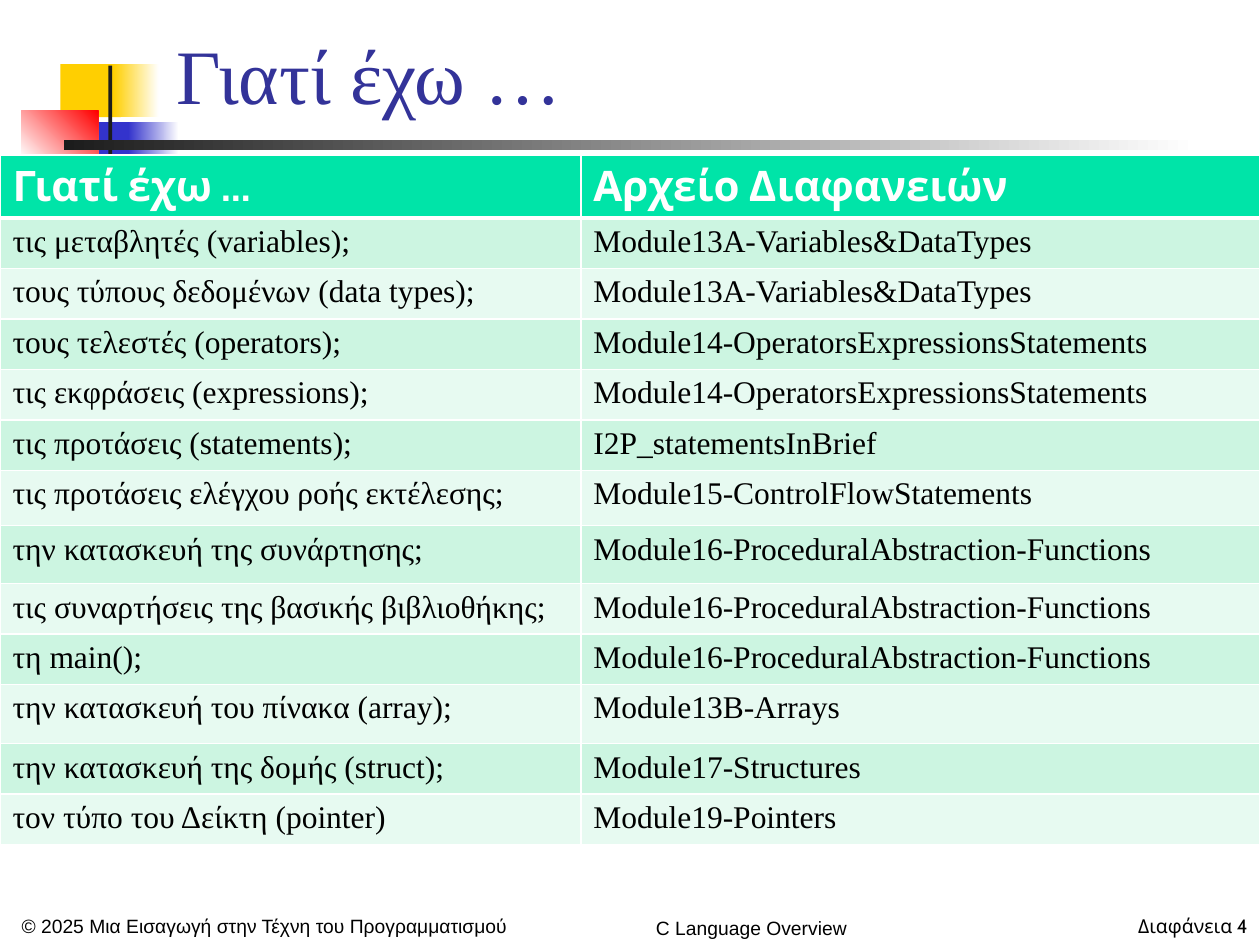
from dataclasses import dataclass

from lxml import etree
from pptx import Presentation
from pptx.dml.color import RGBColor
from pptx.enum.shapes import MSO_SHAPE
from pptx.enum.text import MSO_ANCHOR, MSO_AUTO_SIZE, PP_ALIGN
from pptx.oxml.ns import qn
from pptx.slide import Slide
from pptx.table import _Cell
from pptx.text.text import TextFrame
from pptx.util import Inches, Pt

RECTANGLE = MSO_SHAPE.RECTANGLE
TOP, MIDDLE, BOTTOM = MSO_ANCHOR.TOP, MSO_ANCHOR.MIDDLE, MSO_ANCHOR.BOTTOM
LEFT, CENTER, RIGHT = PP_ALIGN.LEFT, PP_ALIGN.CENTER, PP_ALIGN.RIGHT
NO_AUTOFIT = MSO_AUTO_SIZE.NONE


@dataclass(frozen=True)
class TextStyle:
    font: str
    size: int
    color: str
    bold: bool = False


@dataclass(frozen=True)
class Theme:
    white: str = "FFFFFF"
    yellow: str = "FFCF01"
    blue: str = "3333CC"
    red: str = "FF0000"
    dark: str = "1C1C1C"
    header_fill: str = "00E4A8"
    band_fills: tuple[str, str] = ("CCF5E1", "E7FAF1")
    title: TextStyle = TextStyle("Times New Roman", 44, "333399")
    header: TextStyle = TextStyle("Cabin", 24, "FFFFFF", True)
    body: TextStyle = TextStyle("Times New Roman", 18, "000000")
    footer: TextStyle = TextStyle("Arial", 11, "000000")
    number: TextStyle = TextStyle("Cabin", 11, "000000")
    border: int = 1
    header_border: int = 3


THEME = Theme()


@dataclass(frozen=True)
class Box:
    left: float
    top: float
    width: float
    height: float

    def lengths(self) -> tuple[Inches, ...]:
        return tuple(Inches(value) for value in (self.left, self.top, self.width, self.height))


@dataclass(frozen=True)
class Block:
    box: Box
    colors: tuple[str, ...]
    angle: int = 0


@dataclass(frozen=True)
class Footer:
    box: Box
    text: str
    style: TextStyle
    alignment: PP_ALIGN
    anchor: MSO_ANCHOR


@dataclass(frozen=True)
class TopicRow:
    topic: str
    file: str
    height: float


BLOCKS = (
    Block(Box(0.48, 0.51, 0.48, 0.42), (THEME.yellow,)),
    Block(Box(0.9, 0.51, 0.36, 0.42), (THEME.yellow, THEME.white)),
    Block(Box(0.62, 0.97, 0.46, 0.42), (THEME.blue,)),
    Block(Box(1.02, 0.97, 0.4, 0.42), (THEME.blue, THEME.white)),
    Block(Box(0.17, 0.88, 0.61, 0.37), (THEME.white, THEME.red), 45),
    Block(Box(0.86, 0.52, 0.03, 0.92), (THEME.dark,)),
    Block(Box(0.51, 1.11, 9, 0.08), (THEME.dark, THEME.white)),
)
FOOTERS = (
    Footer(Box(0, 7.22, 4.2, 0.26), "© 2025 Μια Εισαγωγή στην Τέχνη του Προγραμματισμού",
           THEME.footer, CENTER, MIDDLE),
    Footer(Box(7.94, 7.21, 2.06, 0.29), "Διαφάνεια 4", THEME.number, RIGHT, TOP),
    Footer(Box(3.43, 7.23, 5.07, 0.27), "C Language Overview", THEME.footer, CENTER, MIDDLE),
)
VARIABLES = "Module13A-Variables&DataTypes"
OPERATORS = "Module14-OperatorsExpressionsStatements"
FUNCTIONS = "Module16-ProceduralAbstraction-Functions"
TITLE = "Γιατί έχω …"
ROWS = (
    TopicRow(TITLE, "Αρχείο Διαφανειών", 0.41),
    TopicRow("τις μεταβλητές (variables);", VARIABLES, 0.39),
    TopicRow("τους τύπους δεδομένων (data types);", VARIABLES, 0.39),
    TopicRow("τους τελεστές (operators);", OPERATORS, 0.39),
    TopicRow("τις εκφράσεις (expressions);", OPERATORS, 0.39),
    TopicRow("τις προτάσεις (statements);", "I2P_statementsInBrief", 0.39),
    TopicRow("τις προτάσεις ελέγχου ροής εκτέλεσης;", "Module15-ControlFlowStatements", 0.44),
    TopicRow("την κατασκευή της συνάρτησης;", FUNCTIONS, 0.46),
    TopicRow("τις συναρτήσεις της βασικής βιβλιοθήκης;", FUNCTIONS, 0.39),
    TopicRow("τη main();", FUNCTIONS, 0.17),
    TopicRow("την κατασκευή του πίνακα (array);", "Module13B-Arrays", 0.47),
    TopicRow("την κατασκευή της δομής (struct);", "Module17-Structures", 0.34),
    TopicRow("τον τύπο του Δείκτη (pointer)", "Module19-Pointers", 0.34),
)
COLUMN_WIDTHS = (4.61, 5.39)
TABLE_BOX = Box(0, 1.23, sum(COLUMN_WIDTHS), 5.37)


def write_text(frame: TextFrame, text: str, style: TextStyle, alignment: PP_ALIGN = LEFT) -> None:
    paragraph = frame.paragraphs[0]
    paragraph.alignment = alignment
    run = paragraph.add_run()
    run.text = text
    run.font.name = style.font
    run.font.size = Pt(style.size)
    run.font.bold = style.bold
    run.font.color.rgb = RGBColor.from_string(style.color)


def draw_block(slide: Slide, block: Block) -> None:
    shape = slide.shapes.add_shape(RECTANGLE, *block.box.lengths())
    shape.shadow.inherit = False
    shape.line.fill.background()
    if len(block.colors) == 1:
        shape.fill.solid()
        shape.fill.fore_color.rgb = RGBColor.from_string(block.colors[0])
        return
    shape.fill.gradient()
    shape.fill.gradient_angle = block.angle
    for stop, color in zip(shape.fill.gradient_stops, block.colors):
        stop.color.rgb = RGBColor.from_string(color)


def draw_footer(slide: Slide, footer: Footer) -> None:
    frame = slide.shapes.add_textbox(*footer.box.lengths()).text_frame
    frame.word_wrap = True
    frame.vertical_anchor = footer.anchor
    write_text(frame, footer.text, footer.style, footer.alignment)


def draw_title(slide: Slide) -> None:
    title = slide.shapes.title
    title.left, title.top, title.width, title.height = Box(1.3, 0, 8.52, 1).lengths()
    title.text_frame.auto_size = NO_AUTOFIT
    title.text_frame.vertical_anchor = BOTTOM
    write_text(title.text_frame, TITLE, THEME.title)


def set_borders(cell: _Cell, top: int, bottom: int) -> None:
    properties = cell._tc.get_or_add_tcPr()
    widths = {"a:lnL": THEME.border, "a:lnR": THEME.border, "a:lnT": top, "a:lnB": bottom}
    for position, (tag, width) in enumerate(widths.items()):
        line = etree.Element(qn(tag), w=str(Pt(width)))
        fill = etree.SubElement(line, qn("a:solidFill"))
        etree.SubElement(fill, qn("a:srgbClr"), val=THEME.white)
        properties.insert(position, line)


def draw_table(slide: Slide) -> None:
    table = slide.shapes.add_table(len(ROWS), len(COLUMN_WIDTHS), *TABLE_BOX.lengths()).table
    for column, width in zip(table.columns, COLUMN_WIDTHS):
        column.width = Inches(width)
    for index, row in enumerate(ROWS):
        table.rows[index].height = Inches(row.height)
        color = THEME.band_fills[(index - 1) % 2] if index else THEME.header_fill
        style = THEME.body if index else THEME.header
        top = THEME.header_border if index == 1 else THEME.border
        bottom = THEME.border if index else THEME.header_border
        for cell, text in zip(table.rows[index].cells, (row.topic, row.file)):
            cell.fill.solid()
            cell.fill.fore_color.rgb = RGBColor.from_string(color)
            set_borders(cell, top, bottom)
            write_text(cell.text_frame, text, style)


def main() -> None:
    presentation = Presentation()
    presentation.slide_width, presentation.slide_height = Inches(10), Inches(7.5)
    slide = presentation.slides.add_slide(presentation.slide_layouts[5])
    for block in BLOCKS:
        draw_block(slide, block)
    for footer in FOOTERS:
        draw_footer(slide, footer)
    draw_title(slide)
    draw_table(slide)
    presentation.save("out.pptx")


if __name__ == "__main__":
    main()
